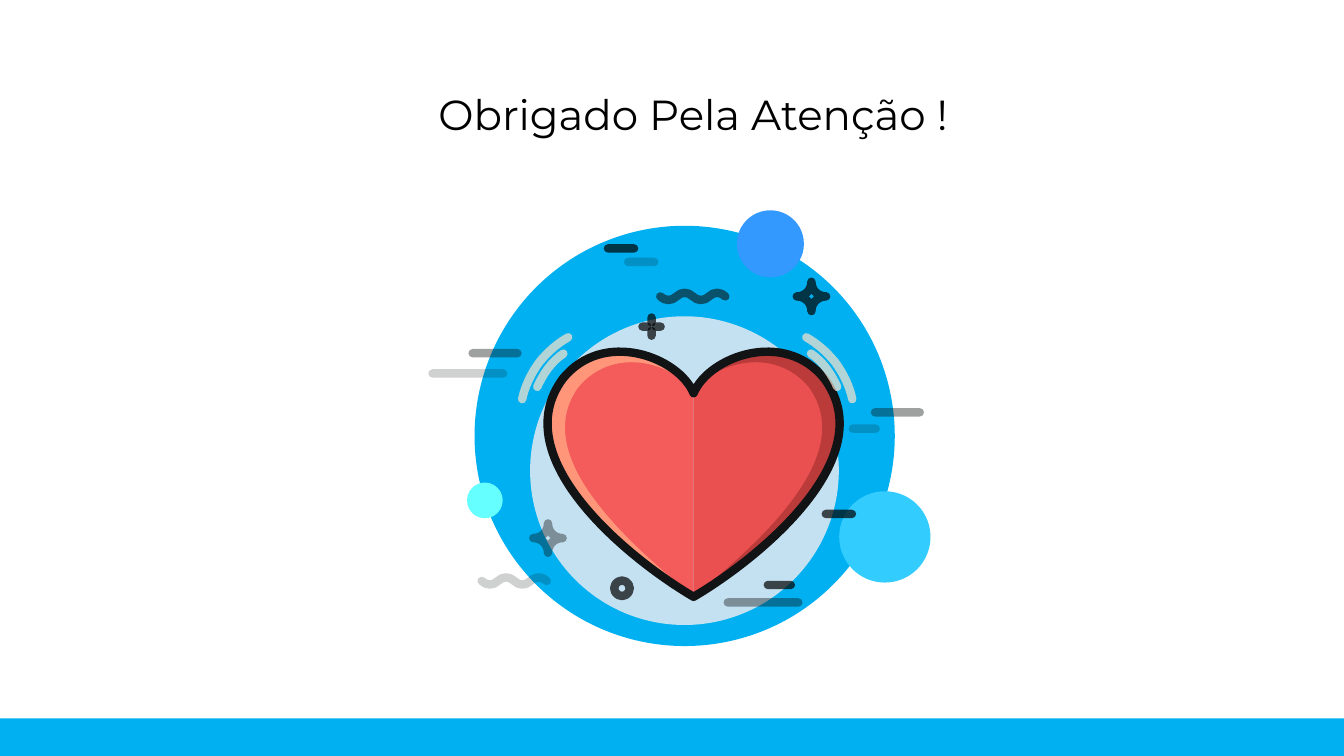
"""Build the closing thank-you slide with a beating heart."""
from dataclasses import dataclass
from typing import Optional

from lxml.etree import SubElement
from pptx import Presentation
from pptx.dml.color import RGBColor
from pptx.enum.shapes import MSO_CONNECTOR, MSO_SHAPE
from pptx.enum.text import MSO_ANCHOR, PP_ALIGN
from pptx.oxml.ns import qn
from pptx.util import Cm, Pt

Point = tuple[float, float]
BLUE = "00B0F0"


@dataclass(frozen=True)
class Pen:
    color: str
    opacity: int = 100
    width: float = 6


@dataclass(frozen=True)
class Disc:
    left: float
    top: float
    size: float
    fill: Optional[str] = None
    pen: Optional[Pen] = None


@dataclass(frozen=True)
class Dash:
    left: float
    top: float
    length: float
    pen: Pen


@dataclass(frozen=True)
class Mark:
    x: float
    y: float
    pen: Pen


@dataclass(frozen=True)
class HeartHalf:
    side: int
    fill: str
    shade: str


FAINT = Pen("111415", 20)
SOFT = Pen("111415", 40)
MEDIUM = Pen("111415", 60)
STRONG = Pen("000000", 70)
HEART_PEN = Pen("111315")
BEAT_PEN = Pen("FDE5CD", 70)

DISCS = [
    Disc(11.96, 5.69, 10.59, BLUE),
    Disc(13.36, 7.97, 7.78, "C4E1F2"),
    Disc(21.15, 12.38, 2.3, "33CCFF"),
    Disc(18.57, 5.3, 1.69, "3399FF"),
    Disc(11.77, 12.16, 0.9, "66FFFF"),
]
RING = Disc(15.48, 14.63, 0.39, pen=STRONG)
WAVES = [Mark(16.64, 7.47, MEDIUM), Mark(12.14, 14.64, FAINT)]
DASHES = [
    Dash(22.05, 10.39, 1.13, SOFT),
    Dash(11.91, 8.9, 1.13, SOFT),
    Dash(21.49, 10.8, 0.58, FAINT),
    Dash(19.35, 14.74, 0.58, STRONG),
    Dash(15.83, 6.6, 0.66, FAINT),
    Dash(15.32, 6.26, 0.66, STRONG),
    Dash(20.81, 12.95, 0.66, STRONG),
    Dash(10.9, 9.41, 1.78, FAINT),
    Dash(18.34, 15.18, 1.78, SOFT),
]
SPARKLES = [Mark(13.81, 13.56, SOFT), Mark(20.45, 7.47, STRONG)]
PLUS = Mark(16.42, 8.23, STRONG)

HEART_AXIS = 17.48
NOTCH, TIP = (0, 9.91), (0, 15.04)
OUTER = [NOTCH, (0.38, 8.99), (2.29, 8.28), (3.3, 9.55),
         (4.78, 11.56), (1.57, 14.12), TIP]
INNER = [TIP, (1.73, 13.61), (4.14, 11.46), (2.9, 9.75),
         (1.96, 8.64), (0.38, 9.22), NOTCH]
HALVES = [HeartHalf(-1, "F45B5B", "FF967A"), HeartHalf(1, "EA5050", "BB3A3A")]

BEAT_AXIS = 17.32
BEATS = [
    [(3, 8.5), (3.28, 8.66), (3.51, 8.86), (3.73, 9.13),
     (3.94, 9.42), (4.09, 9.73), (4.16, 10.06)],
    [(3.12, 8.91), (3.28, 9.02), (3.4, 9.14), (3.52, 9.3),
     (3.63, 9.45), (3.71, 9.6), (3.78, 9.75)],
]


def rgb(color: str) -> RGBColor:
    return RGBColor.from_string(color)


def draw_pen(shape, pen: Optional[Pen]) -> None:
    if pen is None:
        shape.line.fill.background()
        return
    shape.line.width = Pt(pen.width)
    shape.line.color.rgb = rgb(pen.color)
    outline = shape.element.spPr.find(qn("a:ln"))
    outline.set("cap", "rnd")
    if pen.opacity < 100:
        tint = outline.find(".//" + qn("a:srgbClr"))
        SubElement(tint, qn("a:alpha"), val=str(pen.opacity * 1000))
    SubElement(outline, qn("a:round"))


def style(shape, fill: Optional[str] = None, pen: Optional[Pen] = None) -> None:
    shape.shadow.inherit = False
    if fill:
        shape.fill.solid()
        shape.fill.fore_color.rgb = rgb(fill)
    else:
        shape.fill.background()
    draw_pen(shape, pen)


def mirror(points: list[Point], axis: float, side: int) -> list[Point]:
    return [(axis + side * x, y) for x, y in points]


def bend(shape) -> None:
    """Turn each three straight segments into one cubic curve."""
    segments = list(shape.element.spPr.iter(qn("a:lnTo")))
    for first in range(0, len(segments), 3):
        curve, *others = segments[first:first + 3]
        curve.tag = qn("a:cubicBezTo")
        for other in others:
            curve.append(other[0])
            other.getparent().remove(other)


def add_curve(page, curve: list[Point], fill: Optional[str] = None,
              pen: Optional[Pen] = None, close: bool = True) -> None:
    start, *rest = [(Cm(x), Cm(y)) for x, y in curve]
    builder = page.shapes.build_freeform(*start)
    builder.add_line_segments(rest, close=close)
    shape = builder.convert_to_shape()
    bend(shape)
    style(shape, fill, pen)


def add_disc(page, disc: Disc) -> None:
    shape = page.shapes.add_shape(MSO_SHAPE.OVAL, Cm(disc.left), Cm(disc.top),
                                  Cm(disc.size), Cm(disc.size))
    style(shape, disc.fill, disc.pen)


def add_stroke(page, start: Point, end: Point, pen: Pen) -> None:
    ends = [Cm(value) for value in (*start, *end)]
    stroke = page.shapes.add_connector(MSO_CONNECTOR.STRAIGHT, *ends)
    draw_pen(stroke, pen)
    SubElement(stroke.element.spPr, qn("a:effectLst"))


def add_wave(page, wave: Mark) -> None:
    span, control, bulge = 0.41, 0.12, 0.12
    curve = [(wave.x, wave.y)]
    for index in range(4):
        x, y = wave.x + index * span, wave.y + bulge * (-1) ** index
        curve += [(x + control, y), (x + span - control, y), (x + span, wave.y)]
    add_curve(page, curve, pen=wave.pen, close=False)


def add_sparkle(page, sparkle: Mark) -> None:
    reach, waist = 0.37, 0.16
    turns = [(0, 1), (-1, 0), (0, -1), (1, 0), (0, 1)]
    offsets = [(0, reach)]
    for (ax, ay), (bx, by) in zip(turns, turns[1:]):
        offsets += [(ax * waist, ay * waist), (bx * waist, by * waist),
                    (bx * reach, by * reach)]
    add_curve(page, [(sparkle.x + x, sparkle.y + y) for x, y in offsets], pen=sparkle.pen)


def add_plus(page, plus: Mark) -> None:
    near, far = 0.11, 0.23
    for dx, dy in [(0, -1), (-1, 0), (0, 1), (1, 0)]:
        add_stroke(page, (plus.x + dx * near, plus.y + dy * near),
                   (plus.x + dx * far, plus.y + dy * far), plus.pen)


def add_heart(page) -> None:
    for half in HALVES:
        add_curve(page, mirror(OUTER, HEART_AXIS, half.side), half.fill)
    for half in HALVES:
        add_curve(page, mirror(OUTER + INNER[1:], HEART_AXIS, half.side), half.shade)
    left = mirror(OUTER, HEART_AXIS, -1)
    right = mirror(OUTER, HEART_AXIS, 1)
    add_curve(page, left + right[-2::-1], pen=HEART_PEN)
    for side in (1, -1):
        for beat in BEATS:
            add_curve(page, mirror(beat, BEAT_AXIS, side), pen=BEAT_PEN, close=False)


def add_text(page, text: str, *, left: float, top: float, width: float, height: float,
             size: float, font: str, color: str, align: PP_ALIGN) -> None:
    box = page.shapes.add_textbox(Cm(left), Cm(top), Cm(width), Cm(height))
    box.text_frame.word_wrap = True
    box.text_frame.vertical_anchor = MSO_ANCHOR.TOP
    para = box.text_frame.paragraphs[0]
    para.alignment = align
    span = para.add_run()
    span.text = text
    span.font.size, span.font.name = Pt(size), font
    span.font.color.rgb = rgb(color)


def main() -> None:
    deck = Presentation()
    deck.slide_width, deck.slide_height = Cm(33.87), Cm(19.05)
    page = deck.slides.add_slide(deck.slide_layouts[6])
    for disc in DISCS:
        add_disc(page, disc)
    for wave in WAVES:
        add_wave(page, wave)
    for dash in DASHES:
        add_stroke(page, (dash.left, dash.top), (dash.left + dash.length, dash.top), dash.pen)
    for sparkle in SPARKLES:
        add_sparkle(page, sparkle)
    add_plus(page, PLUS)
    add_disc(page, RING)
    add_heart(page)
    add_text(page, "Obrigado Pela Atenção !", left=10.41, top=2.11, width=14.12, height=1.55,
             size=30, font="Montserrat", color="000000", align=PP_ALIGN.CENTER)
    bar = page.shapes.add_shape(MSO_SHAPE.RECTANGLE, 0, Cm(18.1), deck.slide_width, Cm(1.02))
    style(bar, BLUE)
    deck.save("out.pptx")


if __name__ == "__main__":
    main()
